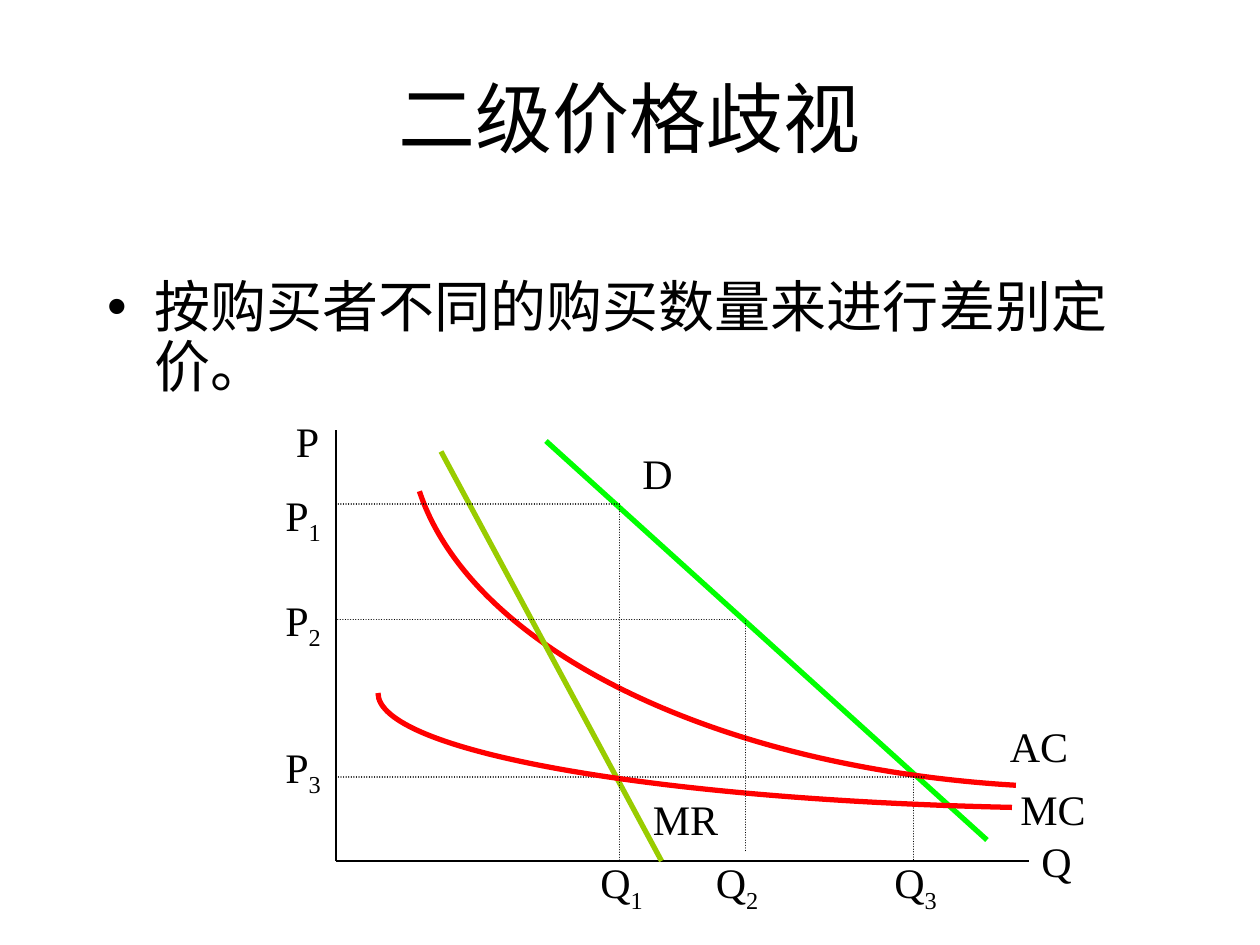
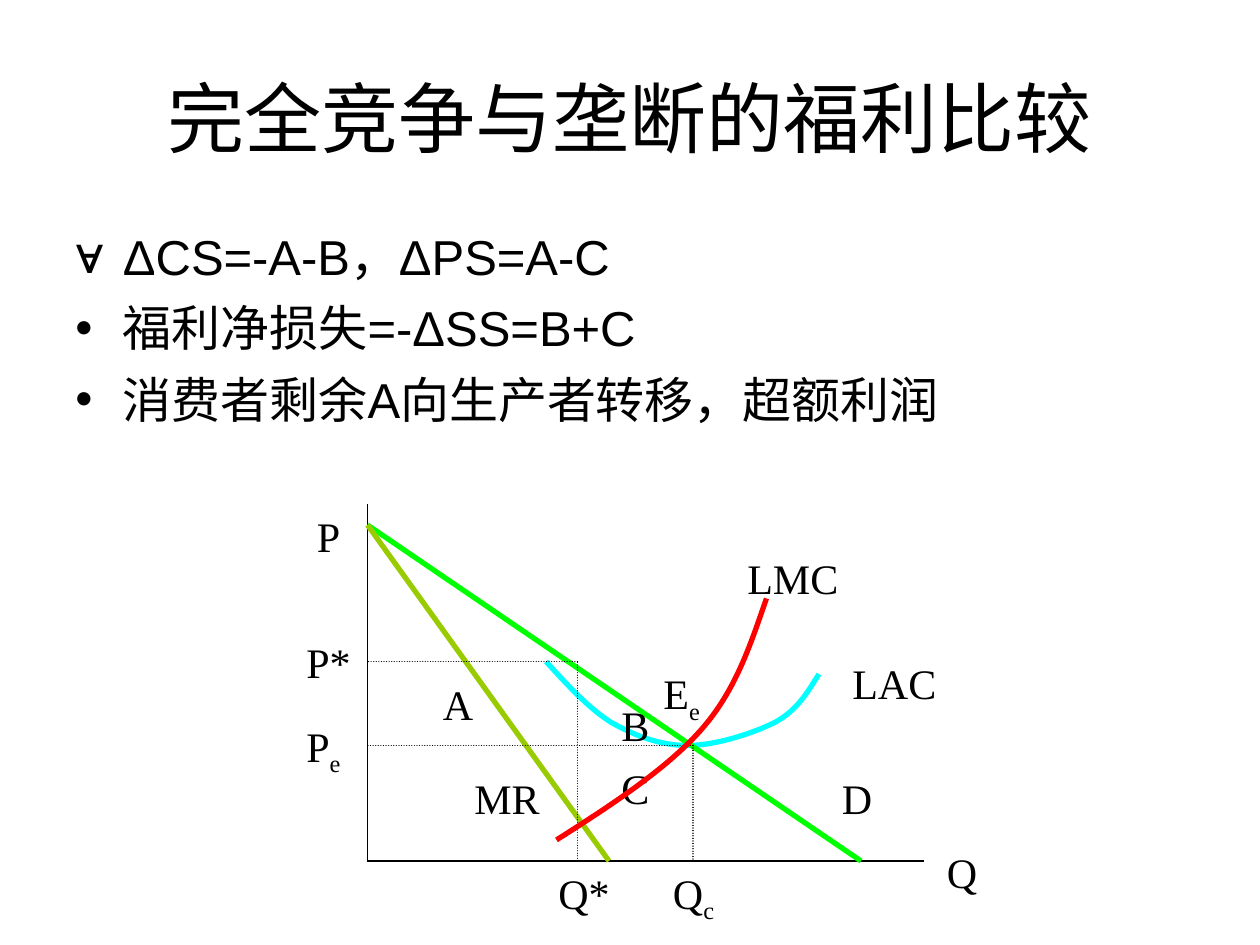
from math import cos, radians, sin, tan

from lxml.etree import SubElement
from pptx import Presentation
from pptx.dml.color import RGBColor
from pptx.enum.dml import MSO_LINE
from pptx.enum.shapes import MSO_CONNECTOR
from pptx.enum.text import MSO_ANCHOR as Anchor, MSO_AUTO_SIZE as AutoSize, PP_ALIGN as Align
from pptx.oxml.ns import qn
from pptx.util import Cm, Pt

COLORS = {"ink": "000000", "demand": "00FF00", "revenue": "99CC00",
          "cost": "FF0000", "average": "00FFFF"}
GRID = 2.54 / 12


def grid(count):
    """Turn a count of diagram grid units into a length."""
    return Cm(count * GRID)


def write(para, text, size=24, font="Times New Roman", color="ink"):
    """Add text to a paragraph; what follows an underscore is a subscript."""
    main, _, subscript = text.partition("_")
    for part in filter(None, (main, subscript)):
        span = para.add_run()
        span.text = part
        span.font.size = Pt(size)
        span.font.name = font
        span.font.color.rgb = RGBColor.from_string(COLORS[color])
        if part is subscript:
            span.font._element.set("baseline", "-25000")


class Lecture:
    """Hold the deck, its style and the current page."""

    def __init__(self):
        """Start an empty deck."""
        self.deck = Presentation()
        self.deck.slide_width, self.deck.slide_height = Cm(25.4), Cm(19.05)
        self.page = None

    def start_page(self, title):
        """Add a page with a centred title."""
        self.page = self.deck.slides.add_slide(self.deck.slide_layouts[5])
        box = self.page.shapes.title
        box.left, box.top, box.width, box.height = Cm(1.27), Cm(0.76), Cm(22.86), Cm(3.18)
        frame = box.text_frame
        frame.auto_size = AutoSize.NONE
        frame.word_wrap = True
        frame.vertical_anchor = Anchor.MIDDLE
        frame.paragraphs[0].alignment = Align.CENTER
        write(frame.paragraphs[0], title, size=44, font="Arial")

    def text_box(self, left, top, width, height):
        """Add a wrapping text box and return its frame."""
        frame = self.page.shapes.add_textbox(left, top, width, height).text_frame
        frame.word_wrap = True
        return frame

    def bullets(self, place, items, size, line_spacing=1.0):
        """Add a list of (bullet, text) items."""
        frame = self.text_box(*map(Cm, place))
        for index, (mark, text) in enumerate(items):
            para = frame.add_paragraph() if index else frame.paragraphs[0]
            props = para._p.get_or_add_pPr()
            props.set("marL", str(Cm(0.96)))
            props.set("indent", str(-Cm(0.96)))
            props.set("hangingPunct", "0")
            SubElement(props, qn("a:buFont")).set("typeface", "Arial")
            SubElement(props, qn("a:buChar")).set("char", mark)
            para.line_spacing = line_spacing
            if index:
                para.space_before = Pt(7)
            write(para, text, size=size, font="Arial")

    def line(self, start, end, color="ink", width=0.75):
        """Add a straight line between two grid points."""
        link = self.page.shapes.add_connector(
            MSO_CONNECTOR.STRAIGHT, *map(grid, (*start, *end)))
        link.line.color.rgb = RGBColor.from_string(COLORS[color])
        link.line.width = Pt(width)
        SubElement(link._element.spPr, qn("a:effectLst"))
        return link

    def axes(self, top, origin, right):
        """Add the price and quantity axes."""
        self.line((origin[0], top), origin)
        self.line(origin, (right, origin[1]))

    def guides(self, *pairs):
        """Add thin guide lines of round dots."""
        for start, end in pairs:
            link = self.line(start, end)
            link.line.dash_style = MSO_LINE.ROUND_DOT
            link.line._get_or_add_ln().set("cap", "rnd")

    def curve(self, box, color, start, *segments):
        """Add an open curve of cubic segments inside a box of grid units."""
        left, top, width, height = box
        builder = self.page.shapes.build_freeform(grid(left), grid(top))
        builder.add_line_segments([(grid(left + width), grid(top + height))], close=False)
        shape = builder.convert_to_shape()
        outline = next(shape._element.iter(qn("a:path")))
        for step in list(outline):
            outline.remove(step)
        steps = [("a:moveTo", [start])] + [("a:cubicBezTo", corners) for corners in segments]
        for tag, corners in steps:
            step = SubElement(outline, qn(tag))
            for x, y in corners:
                SubElement(step, qn("a:pt"), x=str(grid(x - left)), y=str(grid(y - top)))
        shape.shadow.inherit = False
        shape.fill.background()
        shape.line.color.rgb = RGBColor.from_string(COLORS[color])
        shape.line.width = Pt(3)

    def arc(self, box, color, first, last):
        """Add a part of the ellipse in a box, between two angles in degrees."""
        left, top, width, height = box
        first, last = radians(first), radians(last)
        pull = 4 / 3 * tan((last - first) / 4)

        def point(angle, shift=0):
            """Return a point on the ellipse, shifted along its tangent."""
            return (left + width / 2 * (1 + cos(angle) - shift * sin(angle)),
                    top + height / 2 * (1 + sin(angle) + shift * cos(angle)))

        self.curve(box, color, point(first),
                   (point(first, pull), point(last, -pull), point(last)))

    def labels(self, *items):
        """Add diagram labels given as text, left, top and width."""
        for text, left, top, width in items:
            height = Cm(1.42 if "_" in text else 1.27)
            para = self.text_box(grid(left), grid(top), grid(width), height).paragraphs[0]
            if "\t" in text:
                stops = SubElement(para._p.get_or_add_pPr(), qn("a:tabLst"))
                SubElement(stops, qn("a:tab"), pos=str(Cm(2.31)), algn="l")
            write(para, text)


def discrimination_page(lecture):
    """Build the page on second-degree price discrimination."""
    lecture.start_page("二级价格歧视")
    lecture.bullets((1.91, 5.5, 22.43, 11.43),
                    [("•", "按购买者不同的购买数量来进行差别定价。")],
                    size=32, line_spacing=0.9)
    lecture.axes(41, (32, 82), 98)
    lecture.line((52, 42), (94, 80), color="demand", width=3)
    lecture.arc((39, 7, 130, 68), "cost", 96.4, 170.2)
    lecture.guides(((88, 74), (32, 74)), ((87, 74), (87, 82)))
    lecture.line((42, 43), (63, 82), color="revenue", width=3)
    lecture.arc((36, 55, 140, 22), "cost", 97.9, 180)
    lecture.guides(((59, 48), (59, 82)), ((59, 48), (32, 48)),
                   ((71, 81), (71, 59)), ((70, 59), (32, 59)))
    lecture.labels(("P_1", 26, 46, 7), ("P_2", 26, 56, 6), ("P_3", 26, 70, 8),
                   ("Q_1", 56, 81, 10), ("Q_2", 67, 81, 7), ("Q_3", 84, 81, 8),
                   ("AC", 95, 68, 8), ("MC", 96, 74, 10), ("MR", 61, 75, 11),
                   ("D", 60, 42, 8), ("P", 27, 39, 7), ("Q", 98, 79, 6))


def welfare_page(lecture):
    """Build the page comparing competition and monopoly."""
    lecture.start_page("完全竞争与垄断的福利比较")
    lecture.curve((52, 63, 26, 8), "average", (52, 63),
                  ((54, 65.2), (56, 67.4), (58.2, 68.8)),
                  ((60.5, 70.1), (62.9, 71), (65.5, 71)),
                  ((68.2, 71), (71.8, 69.8), (73.8, 68.8)),
                  ((76, 67.6), (76.9, 65.9), (78, 64.2)))
    lecture.bullets((1.27, 4.45, 22.86, 12.57),
                    [("∀", "ΔCS=-A-B，ΔPS=A-C"),
                     ("•", "福利净损失=-ΔSS=B+C"),
                     ("•", "消费者剩余A向生产者转移，超额利润")], size=28)
    lecture.axes(48, (35, 82), 88)
    lecture.line((35, 50), (82, 82), color="demand", width=3)
    lecture.line((35, 50), (58, 82), color="revenue", width=3)
    lecture.guides(((55, 82), (55, 63)), ((66, 71), (35, 71)),
                   ((55, 63), (35, 63)), ((66, 71), (66, 82)))
    lecture.labels(("P_e", 28, 68, 6), ("P*", 28, 60, 8), ("Q*\tQ_c", 52, 82, 19),
                   ("E_e", 62, 63, 9), ("A", 41, 64, 7),
                   ("B", 58, 66, 5), ("C", 58, 72, 4))
    lecture.curve((53, 57, 20, 23), "cost", (73, 57),
                  ((71.5, 61.3), (70.1, 65.8), (66.7, 69.6)),
                  ((63.4, 73.3), (58.2, 76.7), (53, 80)))
    lecture.labels(("LMC", 70, 52, 13), ("LAC", 80, 62, 11), ("D", 79, 73, 9),
                   ("MR", 44, 73, 11), ("P", 29, 48, 6), ("Q", 89, 80, 7))


def main():
    """Build and save the deck."""
    lecture = Lecture()
    discrimination_page(lecture)
    welfare_page(lecture)
    lecture.deck.save("out.pptx")


if __name__ == "__main__":
    main()
